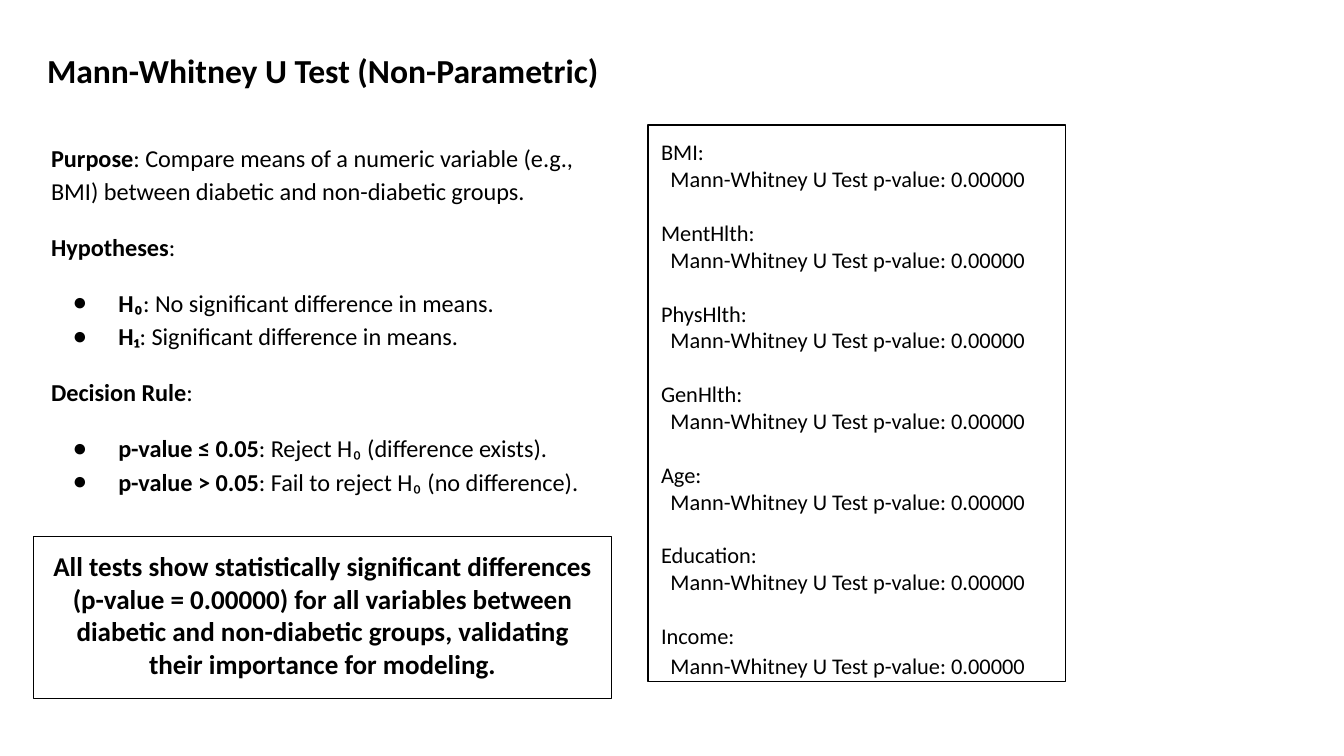
import pptx
import pptx.util
import pptx.dml.color
import pptx.enum.shapes
import pptx.enum.text
import pptx.oxml.ns
from dataclasses import dataclass
from lxml import etree

Inches = pptx.util.Inches
Pt = pptx.util.Pt
Align = pptx.enum.text.PP_ALIGN


@dataclass(frozen=True)
class Theme:
    font: str = "Calibri"
    ink: pptx.dml.color.RGBColor = pptx.dml.color.RGBColor(0, 0, 0)
    title: float = 18
    body: float = 13
    list: float = 12
    note: float = 14.5
    line: float = 0.75
    lead: float = 1.15
    pad: float = 0.1


THEME = Theme()

# Each row: bold part, plain part, bulleted, space before
RULES = [
    ("Purpose", ": Compare means of a numeric variable (e.g., BMI) "
     "between diabetic and non-diabetic groups.", False, 12),
    ("Hypotheses", ":", False, 12),
    ("H₀", ": No significant difference in means.", True, 12),
    ("H₁", ": Significant difference in means.", True, 0),
    ("Decision Rule", ":", False, 12),
    ("p-value ≤ 0.05", ": Reject H₀ (difference exists).", True, 12),
    ("p-value > 0.05", ": Fail to reject H₀ (no difference).", True, 0),
]
FIELDS = ["BMI", "MentHlth", "PhysHlth", "GenHlth", "Age", "Education", "Income"]
RESULT = "Mann-Whitney U Test p-value: 0.00000"
NOTE = ("All tests show statistically significant differences (p-value = 0.00000) "
        "for all variables between diabetic and non-diabetic groups, "
        "validating their importance for modeling.")


def place(shape, box):
    """Put a shape in its box and return its text frame, set up for text."""
    shape.left, shape.top, shape.width, shape.height = map(Inches, box)
    frame = shape.text_frame
    frame.word_wrap = True
    frame.auto_size = pptx.enum.text.MSO_AUTO_SIZE.NONE
    frame.vertical_anchor = pptx.enum.text.MSO_ANCHOR.TOP
    frame.margin_left = frame.margin_right = Inches(THEME.pad)
    frame.margin_top = frame.margin_bottom = Inches(THEME.pad)
    return frame


def add_par(frame, first, before=0, after=0, lead=1.0, align=Align.LEFT):
    par = frame.paragraphs[0] if first else frame.add_paragraph()
    par.space_before, par.space_after = Pt(before), Pt(after)
    par.line_spacing = lead
    par.alignment = align
    return par


def add_run(par, text, size, bold=False):
    run = par.add_run()
    run.text = text
    run.font.name = THEME.font
    run.font.size = Pt(size)
    run.font.bold = bold
    run.font.color.rgb = THEME.ink


def indent(par, left, hang=0):
    props = par._p.get_or_add_pPr()
    props.set("marL", str(Inches(left)))
    props.set("indent", str(Inches(hang)))
    return props


def mark(par, bullet):
    """Give a paragraph a round bullet, or none at all."""
    qn = pptx.oxml.ns.qn
    if not bullet:
        etree.SubElement(indent(par, 0), qn("a:buNone"))
        return
    props = indent(par, 0.5, -0.34)
    color = etree.SubElement(props, qn("a:buClr"))
    etree.SubElement(color, qn("a:srgbClr"), val=str(THEME.ink))
    etree.SubElement(props, qn("a:buChar"), char="●")


def add_frame(slide, box):
    """Draw an outlined rectangle and return its text frame."""
    rect = slide.shapes.add_shape(
        pptx.enum.shapes.MSO_SHAPE.RECTANGLE, *map(Inches, box))
    rect.shadow.inherit = False
    rect.fill.background()
    rect.line.color.rgb = THEME.ink
    rect.line.width = Pt(THEME.line)
    return place(rect, box)


def add_title(slide, box):
    frame = place(slide.shapes.title, box)
    par = add_par(frame, True, 14, 4, THEME.lead)
    add_run(par, "Mann-Whitney U Test (Non-Parametric)", THEME.title, True)


def add_rules(slide, box):
    frame = place(slide.placeholders[1], box)
    for i, (head, tail, bullet, before) in enumerate(RULES):
        par = add_par(frame, i == 0, before, lead=THEME.lead)
        mark(par, bullet)
        add_run(par, head, THEME.body, True)
        add_run(par, tail, THEME.body)


def add_results(slide, box):
    frame = add_frame(slide, box)
    for i, field in enumerate(FIELDS):
        # One line of space parts the groups
        head = add_par(frame, i == 0, before=14.4 if i else 0)
        add_run(head, field + ":", THEME.list)
        value = add_par(frame, False, lead=1.11 if field == FIELDS[-1] else 1.0)
        indent(value, 0.07)
        add_run(value, RESULT, THEME.list)


def add_note(slide, box):
    par = add_par(add_frame(slide, box), True, align=Align.CENTER)
    add_run(par, NOTE, THEME.note, True)


def main():
    deck = pptx.Presentation()
    # Widescreen, 16 to 9
    deck.slide_width = Inches(10)
    deck.slide_height = deck.slide_width * 9 // 16
    slide = deck.slides.add_slide(deck.slide_layouts[1])

    # Left column: title, rules, conclusion; right column: results
    left, top, wide = 0.25, 0.93, 4.3
    add_title(slide, (left, 0.23, 4.7, 0.5))
    add_rules(slide, (left + 0.03, top, wide, 2.86))
    add_results(slide, (4.82, top, 3.11, 4.14))
    add_note(slide, (left, 3.99, wide, 1.21))
    deck.save("out.pptx")


if __name__ == "__main__":
    main()
